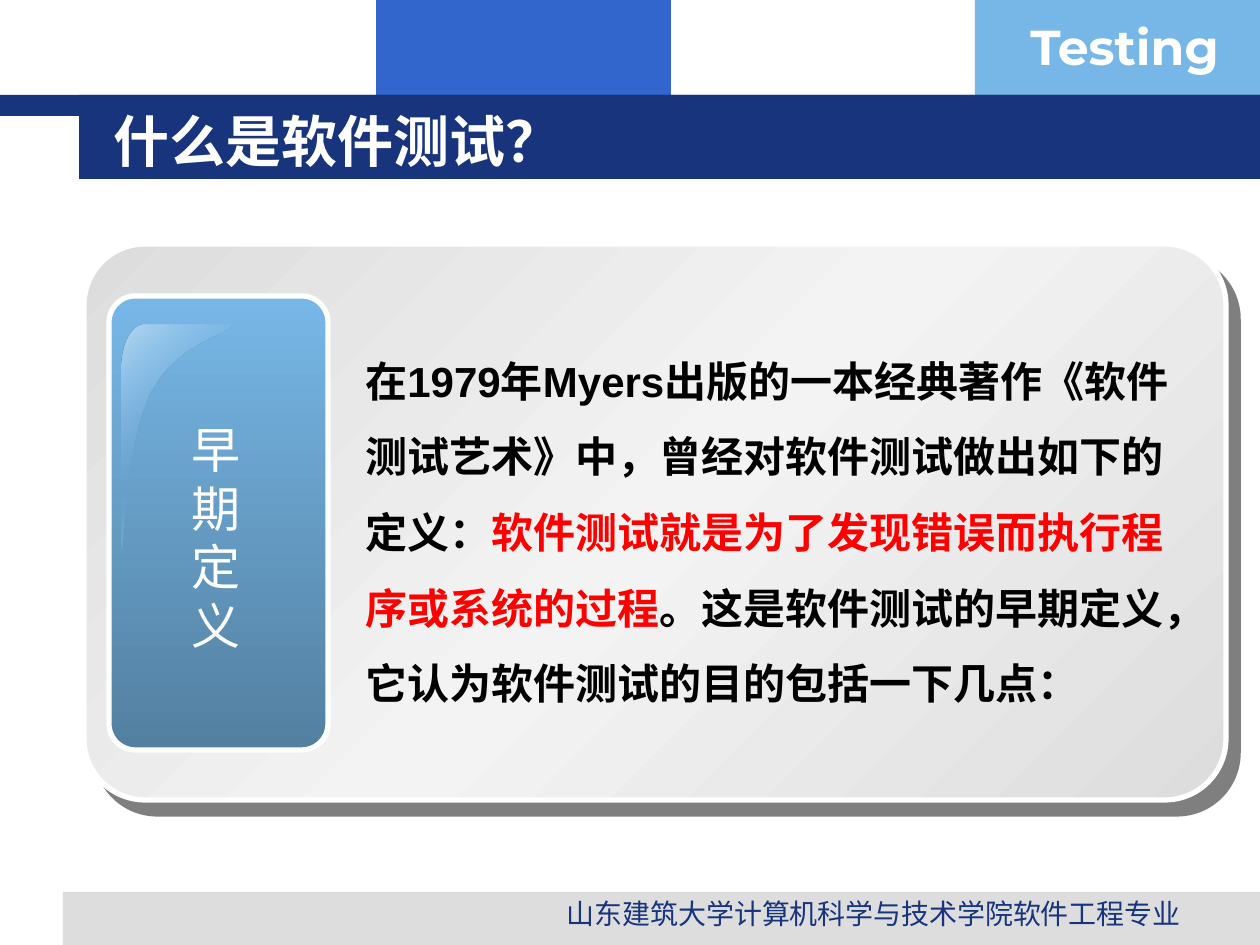
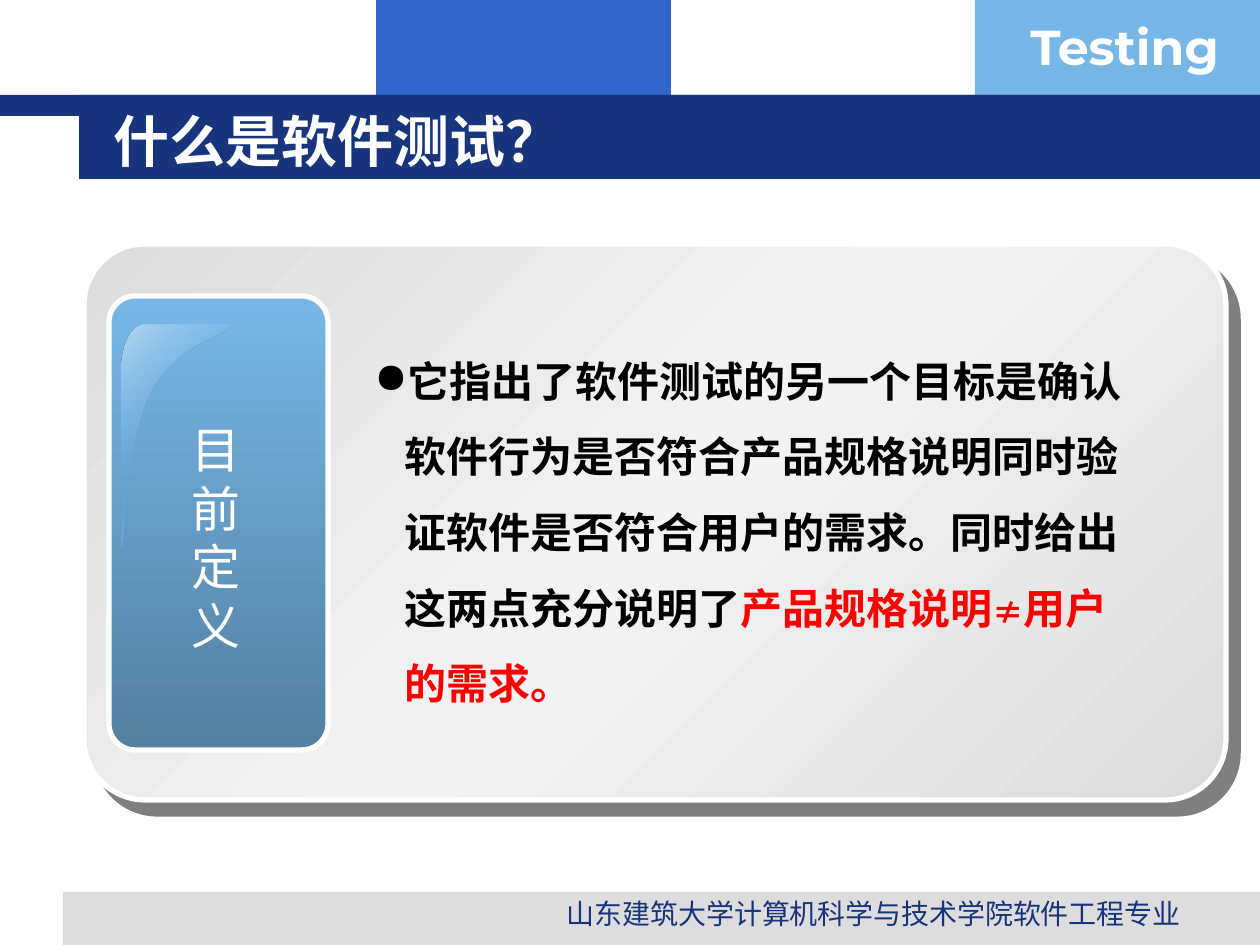
from lxml import etree
from pptx import Presentation
from pptx.dml.color import RGBColor
from pptx.enum.shapes import MSO_SHAPE
from pptx.enum.text import MSO_ANCHOR, PP_ALIGN
from pptx.oxml.ns import qn
from pptx.util import Pt

PX = 7257  # EMU in one px, 126 px to the inch
RECT, ROUND = MSO_SHAPE.RECTANGLE, MSO_SHAPE.ROUNDED_RECTANGLE
LEFT, CENTER = PP_ALIGN.LEFT, PP_ALIGN.CENTER
TOP, MIDDLE = MSO_ANCHOR.TOP, MSO_ANCHOR.MIDDLE
NAVY, BLUE, SKY = "17347D", "3366CC", "77B7E7"
STEEL, PALE = "5380A1", "B5D8F2"
GREY, LIGHT, WHITE = "DDDDDD", "F3F3F3", "FFFFFF"
BLACK, RED = "000000", "FF0000"
rgb = RGBColor.from_string


def paint(sp, stops, angle=0, line=None):
    """Fill with one colour, or with (percent, colour, opacity) stops."""
    sp.shadow.inherit = False
    if isinstance(stops, str):
        sp.fill.solid()
        sp.fill.fore_color.rgb = rgb(stops)
    else:
        sp.fill.gradient()
        grad = sp._element.spPr.find(qn("a:gradFill"))
        for child in list(grad):
            grad.remove(child)
        gs_list = etree.SubElement(grad, qn("a:gsLst"))
        for pos, color, opacity in stops:
            gs = etree.SubElement(gs_list, qn("a:gs"), pos=str(pos * 1000))
            clr = etree.SubElement(gs, qn("a:srgbClr"), val=color)
            if opacity < 100:
                etree.SubElement(clr, qn("a:alpha"), val=str(opacity * 1000))
        etree.SubElement(grad, qn("a:lin"), ang=str(angle * 60000), scaled="0")
    if line:
        sp.line.color.rgb = rgb(line)
        sp.line.width = Pt(3)
    else:
        sp.line.fill.background()


def text(s, box, paragraphs, size=24, color=BLACK, font="Arial", bold=False,
         align=LEFT, anchor=TOP, spacing=None, wrap=True, bullet=None, shadow=None):
    """Add a text box; each paragraph is a list of (text, run format) pairs."""
    tf = s.shapes.add_textbox(*[v * PX for v in box]).text_frame
    tf.word_wrap = wrap
    tf.vertical_anchor = anchor
    for i, runs in enumerate(paragraphs):
        p = tf.add_paragraph() if i else tf.paragraphs[0]
        p.alignment = align
        if spacing:
            p.line_spacing = spacing
        if bullet:
            pPr = p._p.get_or_add_pPr()
            pPr.set("marL", str(30 * PX))
            pPr.set("indent", str(-30 * PX))
            bu_clr = etree.SubElement(pPr, qn("a:buClr"))
            etree.SubElement(bu_clr, qn("a:srgbClr"), val=BLACK)
            etree.SubElement(pPr, qn("a:buChar"), char=bullet)
        for words, fmt in runs:
            r = p.add_run()
            r.text = words
            r.font.name = font
            r.font.bold = bold
            r.font.size = Pt(fmt.get("size", size))
            r.font.color.rgb = rgb(fmt.get("color", color))
            if shadow:
                effects = etree.Element(qn("a:effectLst"))
                outer = etree.SubElement(effects, qn("a:outerShdw"),
                                         dist=str(2 * PX), dir="2700000")
                etree.SubElement(outer, qn("a:srgbClr"), val=shadow)
                r.font._element.find(qn("a:solidFill")).addnext(effects)


bands = [
    (376, 0, 295, 116, BLUE),
    (975, 0, 285, 116, SKY),
    (63, 892, 1197, 53, GREY),
    (0, 95, 1260, 21, NAVY),
    (79, 95, 1181, 84, NAVY),
]

# Outline of the gloss: Bezier segments sampled as short lines
curves = [
    [(145, 325), (132, 325), (122, 345), (122, 369)],
    [(122, 548), (127, 552), (125, 442), (152, 391)],
    [(152, 391), (180, 340), (232, 335), (231, 325)],
]
STEPS = 16
gloss = []
for a, b, c, d in curves:
    for i in range(STEPS + 1):
        t = i / STEPS
        u = 1 - t
        gloss.append([(u**3 * a[k] + 3 * u * u * t * b[k] + 3 * u * t * t * c[k]
                       + t**3 * d[k]) * PX for k in (0, 1)])

slides = [
    dict(label="早期", box=(353, 324, 843, 391), bullet=None, body=[
        ("在1979年Myers出版的一本经典著作《软件测试艺术》中，曾经对软件测试做出如下的定义：", {}),
        ("软件测试就是为了发现错误而执行程序或系统的过程", {"color": RED}),
        ("。这是软件测试的早期定义，它认为软件测试的目的包括一下几点：", {}),
    ]),
    dict(label="目前", box=(362, 324, 794, 315), bullet="●", body=[
        ("它指出了软件测试的另一个目标是确认软件行为是否符合产品规格说明"
         "同时验证软件是否符合用户的需求。同时给出这两点充分说明了", {}),
        ("产品规格说明", {"color": RED}),
        ("≠", {"color": RED, "size": 18}),
        ("用户的需求。", {"color": RED}),
    ]),
]

prs = Presentation()
prs.slide_width, prs.slide_height = 1260 * PX, 945 * PX

for content in slides:
    s = prs.slides.add_slide(prs.slide_layouts[6])

    # Bands, header, footer and title
    for *box, color in bands:
        paint(s.shapes.add_shape(RECT, *[v * PX for v in box]), color)
    text(s, (1018, 10, 242, 72), [[("Testing", {})]],
         size=28, color=WHITE, font="Montserrat", bold=True)
    text(s, (512, 890, 724, 39), [[("山东建筑大学计算机科学与技术学院软件工程专业", {})]],
         size=16, color=NAVY, align=CENTER)
    text(s, (101, 101, 1075, 78), [[("什么是软件测试？", {})]],
         size=32, color=WHITE, font="DejaVu Sans", bold=True, anchor=MIDDLE)

    # Grey panel with its offset shadow
    panel = s.shapes.add_shape(ROUND, 84 * PX, 244 * PX, 1142 * PX, 556 * PX)
    panel.adjustments[0] = 0.11
    paint(panel, [(0, GREY, 100), (50, LIGHT, 100), (100, GREY, 100)], 45, WHITE)
    effects = panel._element.spPr.find(qn("a:effectLst"))
    outer = etree.SubElement(effects, qn("a:outerShdw"), dist=str(Pt(10.6)),
                             dir=str(49 * 60000), algn="ctr", rotWithShape="0")
    clr = etree.SubElement(outer, qn("a:srgbClr"), val=BLACK)
    etree.SubElement(clr, qn("a:alpha"), val="50000")

    # Blue card with gloss and label
    card = s.shapes.add_shape(ROUND, 109 * PX, 296 * PX, 219 * PX, 454 * PX)
    card.adjustments[0] = 0.12
    paint(card, [(0, SKY, 100), (100, STEEL, 100)], 90, WHITE)
    builder = s.shapes.build_freeform(*gloss[0])
    builder.add_line_segments(gloss[1:], close=True)
    paint(builder.convert_to_shape(),
          [(0, PALE, 100), (50, SKY, 0), (100, PALE, 100)], 45)
    text(s, (155, 413, 122, 131), [[(content["label"], {})], [("定义", {})]],
         size=28, color=WHITE, align=CENTER, wrap=False, shadow=NAVY)

    # Definition
    text(s, content["box"], [content["body"]], bold=True, spacing=1.5,
         bullet=content["bullet"])

prs.save("out.pptx")
